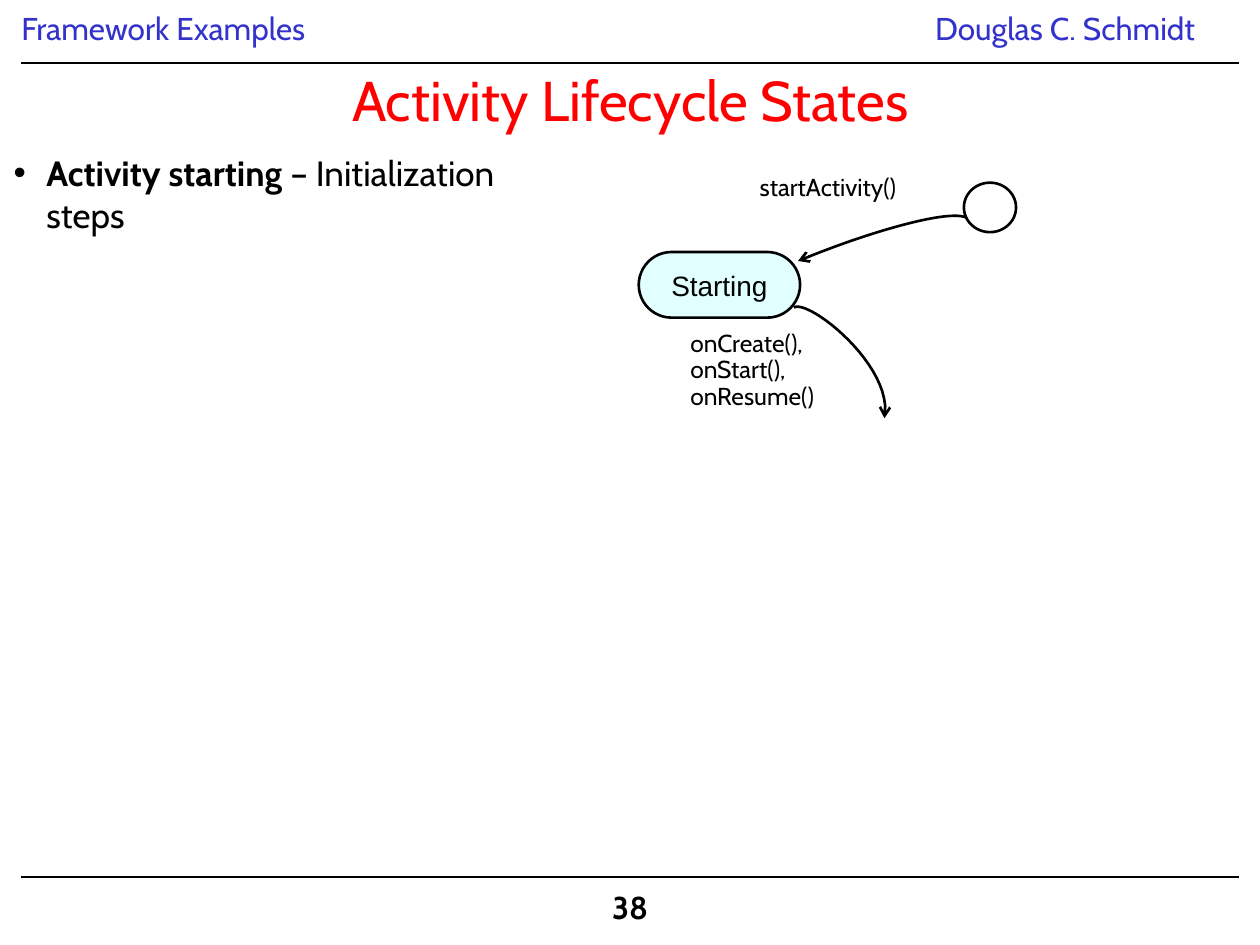
from lxml import etree
from pptx import Presentation
from pptx.dml.color import RGBColor
from pptx.enum.shapes import MSO_CONNECTOR, MSO_SHAPE
from pptx.enum.text import MSO_ANCHOR, PP_ALIGN
from pptx.oxml.ns import qn
from pptx.util import Pt

LINE = MSO_CONNECTOR.STRAIGHT
ARC, CIRCLE = MSO_SHAPE.ARC, MSO_SHAPE.OVAL
RECTANGLE, ROUNDED = MSO_SHAPE.RECTANGLE, MSO_SHAPE.ROUNDED_RECTANGLE
LEFT, CENTER = PP_ALIGN.LEFT, PP_ALIGN.CENTER
TOP, MIDDLE = MSO_ANCHOR.TOP, MSO_ANCHOR.MIDDLE
BLACK = RGBColor(0, 0, 0)
WHITE = RGBColor(255, 255, 255)
BLUE = RGBColor(0x33, 0x33, 0xCC)
RED = RGBColor(255, 0, 0)
PALE_CYAN = RGBColor(0xE1, 0xFF, 0xFF)


def place(shape, box):
    """Move a shape to a box of left, top, width and height."""
    shape.left, shape.top, shape.width, shape.height = map(Pt, box)


def write(shape, text, size=18, color=BLACK, font="Cabin", bold=False, align=LEFT,
          anchor=TOP, wrap=True, spacing=0.9, inset=7.2, bullet_indent=0):
    """Write text, or a list of (text, bold) runs, in a shape."""
    frame = shape.text_frame
    frame.word_wrap = wrap
    frame.vertical_anchor = anchor
    frame.margin_left = frame.margin_right = Pt(inset)
    frame.margin_top = frame.margin_bottom = Pt(3.6)
    paragraph = frame.paragraphs[0]
    paragraph.alignment = align
    paragraph.line_spacing = spacing
    paragraph.space_before = Pt(0)
    if bullet_indent:
        properties = paragraph._p.get_or_add_pPr()
        properties.set("marL", str(Pt(bullet_indent)))
        properties.set("indent", str(-Pt(bullet_indent)))
        etree.SubElement(properties, qn("a:buFont")).set("typeface", "Arial")
        etree.SubElement(properties, qn("a:buChar")).set("char", "•")
    runs = [(text, bold)] if isinstance(text, str) else text
    for run_text, run_bold in runs:
        for index, line in enumerate(run_text.split("\n")):
            if index:
                paragraph.add_line_break()
            run = paragraph.add_run()
            run.text = line
            run.font.name = font
            run.font.size = Pt(size)
            run.font.bold = run_bold
            run.font.color.rgb = color


def add_text(slide, box, text, **options):
    """Add a formatted text box."""
    write(slide.shapes.add_textbox(*map(Pt, box)), text, **options)


def add_node(slide, kind, box, fill, outlined=True):
    """Add a filled shape, with a black outline if wanted."""
    shape = slide.shapes.add_shape(kind, *map(Pt, box))
    shape.shadow.inherit = False
    shape.fill.solid()
    shape.fill.fore_color.rgb = fill
    if outlined:
        shape.line.color.rgb = BLACK
        shape.line.width = Pt(1.5)
    else:
        shape.line.fill.background()
    return shape


def style_arrow(shape):
    """Make an open shape a black curve with an arrowhead at its end."""
    shape.shadow.inherit = False
    shape.fill.background()
    shape.line.color.rgb = BLACK
    shape.line.width = Pt(1.5)
    etree.SubElement(shape.line._get_or_add_ln(), qn("a:tailEnd")).set("type", "arrow")


def add_arc_arrow(slide, box, rotation, start_angle):
    """Add a mirrored arc with an arrowhead."""
    arc = slide.shapes.add_shape(ARC, *map(Pt, box))
    arc.adjustments[0] = start_angle
    arc.adjustments[1] = 0
    arc.rotation = rotation
    arc.element.spPr.get_or_add_xfrm().set("flipH", "1")
    style_arrow(arc)


def add_curve_arrow(slide, controls, steps=24):
    """Add an arrow along the cubic curve of four control points."""
    points = []
    for step in range(steps + 1):
        t = step / steps
        weights = ((1 - t) ** 3, 3 * t * (1 - t) ** 2, 3 * t * t * (1 - t), t ** 3)
        points.append([Pt(sum(w * value for w, value in zip(weights, axis)))
                       for axis in zip(*controls)])
    builder = slide.shapes.build_freeform(*points[0])
    builder.add_line_segments(points[1:], close=False)
    style_arrow(builder.convert_to_shape())


def add_rule(slide, left, right, y):
    """Add a thin horizontal rule."""
    rule = slide.shapes.add_connector(LINE, Pt(left), Pt(y), Pt(right), Pt(y))
    rule.line.color.rgb = BLACK
    rule.line.width = Pt(0.75)
    etree.SubElement(rule._element.spPr, qn("a:effectLst"))


def add_header(slide, box):
    """Add the course name, the author and the rule below them."""
    left, top, width, height = box
    add_text(slide, (left, top, 426, 27), "Framework Examples", color=BLUE, inset=0)
    add_text(slide, (left + width - 180.5, top, 181, 29), "Douglas C. Schmidt", color=BLUE)
    add_rule(slide, left, left + width, top + height)


def add_footer(slide, box):
    """Add the bottom rule and the page number."""
    left, top, width, height = box
    add_rule(slide, left, left + width, top)
    number = add_node(slide, RECTANGLE, (left + 330.5, top + 5, 37, height - 5), WHITE, False)
    write(number, "38", bold=True, wrap=False)


def add_diagram(slide, box):
    """Add the starting state with its incoming and outgoing transitions."""
    left, top, _, _ = box
    controls = [(88.6, 79.2), (97.2, 74.1), (146.2, 113), (140.4, 142.5)]
    add_curve_arrow(slide, [(left + x, top + y) for x, y in controls])
    add_text(slide, (left + 62, top, 99, 22), "startActivity()", size=14, wrap=False)
    add_arc_arrow(slide, (left + 81.4, top - 32.4, 31, 198.7), 67.8, 161.98)
    add_text(slide, (left + 22.4, top + 89.3, 90, 53), "onCreate(), \nonStart(), \nonResume()",
             size=14, wrap=False)
    state = add_node(slide, ROUNDED, (left, top + 47.5, 92.2, 37.5), PALE_CYAN)
    state.adjustments[0] = 0.5
    write(state, "Starting", size=16, font="Arial", align=CENTER, anchor=MIDDLE, spacing=1)
    add_node(slide, CIRCLE, (left + 185.8, top + 7.9, 29.8, 28.3), WHITE)


def main():
    """Build and save the slide."""
    presentation = Presentation()
    presentation.slide_width, presentation.slide_height = Pt(720), Pt(540)
    slide = presentation.slides.add_slide(presentation.slide_layouts[5])
    add_header(slide, (12.2, 4.3, 695.6, 31.7))
    add_footer(slide, (12.2, 501.1, 695.6, 34))
    place(slide.shapes.title, (12.2, 41.8, 696.2, 30.2))
    write(slide.shapes.title, "Activity Lifecycle States", size=32, color=RED,
          align=CENTER, anchor=MIDDLE, spacing=1)
    add_text(slide, (0.7, 82.8, 310.3, 398.2),
             [("Activity starting ", True), ("– Initialization steps", False)],
             size=20, spacing=1, bullet_indent=18.7)
    add_diagram(slide, (365, 96.5, 216, 143))
    presentation.save("out.pptx")


if __name__ == "__main__":
    main()
